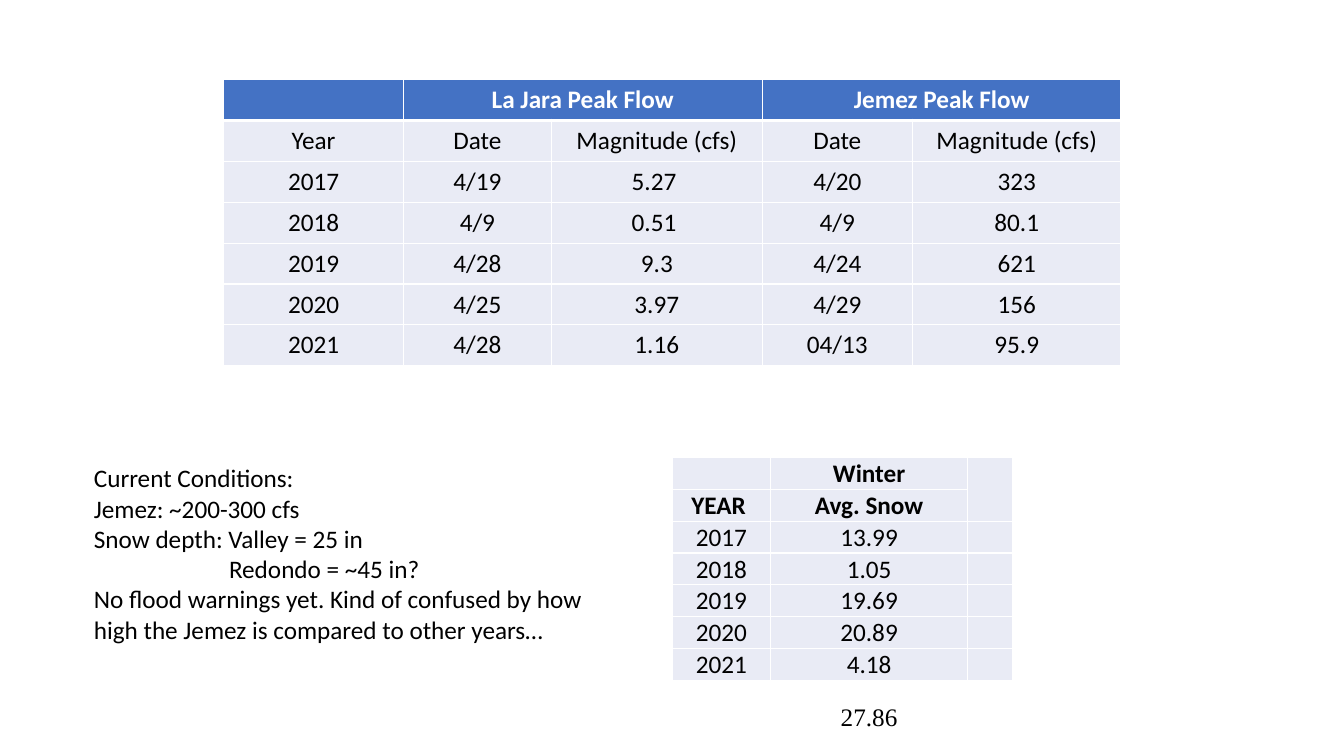
from lxml import etree
from pptx import Presentation
from pptx import util as u
from pptx.dml.color import RGBColor
from pptx.enum import text
from pptx.oxml import ns

BLUE = RGBColor(0x44, 0x72, 0xC4)
PALE = RGBColor(0xE9, 0xEB, 0xF5)
WHITE = RGBColor(0xFF, 0xFF, 0xFF)
BLACK = RGBColor(0, 0, 0)

prs = Presentation()
prs.slide_width, prs.slide_height = u.Inches(13.33), u.Inches(7.5)
W, H = prs.slide_width, prs.slide_height
s = prs.slides.add_slide(prs.slide_layouts[6])


def style_runs(p, color=BLACK, bold=False, font="Calibri"):
    for r in p.runs:
        r.font.size, r.font.name = u.Pt(18), font
        r.font.bold, r.font.color.rgb = bold, color


def add_grid(left, top, widths, row_height, rows, header_fill, header_color, bold_rows, inset):
    height = u.Inches(row_height)
    table = s.shapes.add_table(len(rows), len(widths), left, top,
                               u.Inches(sum(widths)), height * len(rows)).table
    table.horz_banding = False
    table.first_row = header_fill != PALE
    for column, width in zip(table.columns, widths):
        column.width = u.Inches(width)
    for i, row in enumerate(rows):
        table.rows[i].height = height
        for j, value in enumerate(row):
            cell = table.cell(i, j)
            cell.text_frame.text = value
            p = cell.text_frame.paragraphs[0]
            p.alignment = text.PP_ALIGN.CENTER
            style_runs(p, header_color if i == 0 else BLACK, i < bold_rows)
            if inset is not None:
                cell.margin_left = cell.margin_right = cell.margin_top = u.Inches(inset)
                cell.margin_bottom = 0
                cell.vertical_anchor = text.MSO_ANCHOR.BOTTOM
            # White cell borders, heavier under a coloured header
            for side in "LRTB":
                heavy = table.first_row and (i, side) in ((0, "B"), (1, "T"))
                ln = etree.SubElement(cell._tc.get_or_add_tcPr(), ns.qn("a:ln" + side),
                                      w=str(u.Pt(3 if heavy else 1)))
                solid = etree.SubElement(ln, ns.qn("a:solidFill"))
                etree.SubElement(solid, ns.qn("a:srgbClr"), val=str(WHITE))
            cell.fill.solid()
            cell.fill.fore_color.rgb = header_fill if i == 0 else PALE
    return table


# Peak flow table
peak_rows = [
    ("", "La Jara Peak Flow", "", "Jemez Peak Flow", ""),
    ("Year", "Date", "Magnitude (cfs)", "Date", "Magnitude (cfs)"),
    ("2017", "4/19", "5.27 ", "4/20", "323"),
    ("2018", "4/9", "0.51 ", "4/9", "80.1"),
    ("2019", "4/28", "9.3", "4/24", "621"),
    ("2020", "4/25", "3.97", "4/29", "156"),
    ("2021", "4/28", "1.16", "04/13", "95.9"),
]
peak = add_grid(u.Inches(2.22), u.Inches(0.79), (1.78, 1.47, 2.09, 1.49, 2.07), 0.405,
                peak_rows, BLUE, WHITE, 1, None)
for j in (1, 3):
    peak.cell(0, j).merge(peak.cell(0, j + 1))

# Winter snow table
snow_rows = [
    ("", "Winter", ""),
    ("YEAR ", "Avg. Snow", ""),
    ("2017", "13.99", ""),
    ("2018", "1.05", ""),
    ("2019", "19.69", ""),
    ("2020", "20.89", ""),
    ("2021", "4.18", ""),
]
snow = add_grid(W // 2, u.Inches(4.54), (0.98, 1.95, 0.45), 0.31,
                snow_rows, PALE, BLACK, 2, 0.01)
snow.cell(0, 2).merge(snow.cell(1, 2))

# Current conditions and latest snow average
conditions = "\n".join((
    "Current Conditions:",
    "Jemez: ~200-300 cfs",
    "Snow depth: Valley = 25 in",
    "Redondo = ~45 in?",
    "No flood warnings yet. Kind of confused by how high the Jemez is compared to other years…",
))
notes = [
    (W // 16, u.Inches(4.54), 5.46, 1.92, conditions, "Calibri"),
    (u.Inches(8.24), u.Inches(6.91), 0.88, 0.4, "27.86", "Times New Roman"),
]
for left, top, width, height, words, font in notes:
    tf = s.shapes.add_textbox(left, top, u.Inches(width), u.Inches(height)).text_frame
    tf.word_wrap = True
    tf.text = words
    for p in tf.paragraphs:
        style_runs(p, font=font)
        if p.text.startswith("Redondo"):
            p._p.get_or_add_pPr().set("marL", str(u.Inches(1.34)))

prs.save("out.pptx")
